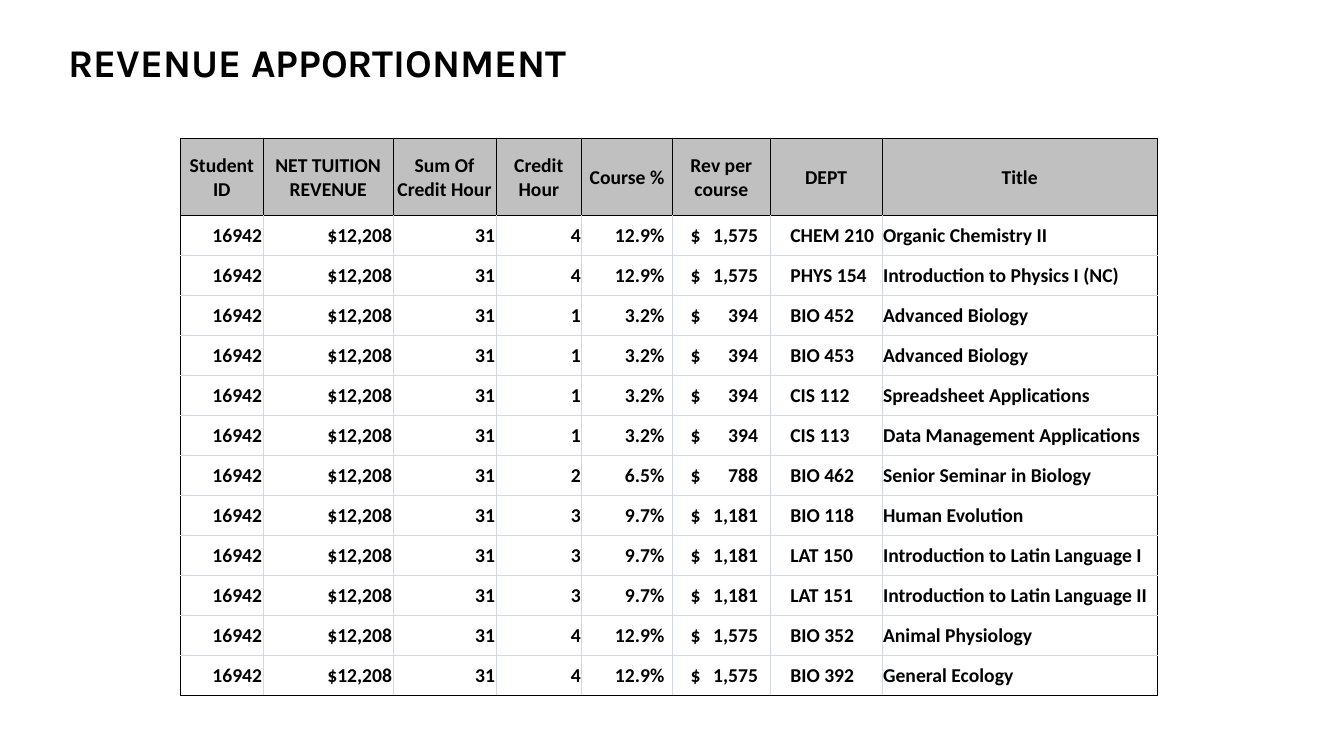
from lxml import etree
from pptx import Presentation
from pptx.dml.color import RGBColor
from pptx.enum.text import MSO_ANCHOR, PP_ALIGN
from pptx.oxml.ns import qn
from pptx.util import Inches, Pt

LEFT, CENTER, RIGHT = PP_ALIGN.LEFT, PP_ALIGN.CENTER, PP_ALIGN.RIGHT
MIDDLE = MSO_ANCHOR.MIDDLE
BLACK = RGBColor(0x00, 0x00, 0x00)
HEADER_GRAY = RGBColor(0xC0, 0xC0, 0xC0)
GRID_BLUE = RGBColor(0xD0, 0xD7, 0xE5)

# Heading, width, body alignment, left inset, right inset
COLUMNS = [
    ("Student ID", 0.82, RIGHT, 0.01, 0.01),
    ("NET TUITION REVENUE", 1.29, RIGHT, 0.01, 0.01),
    ("Sum Of Credit Hour", 1.02, RIGHT, 0.01, 0.01),
    ("Credit Hour", 0.85, RIGHT, 0.01, 0.01),
    ("Course %", 0.9, RIGHT, 0.01, 0.08),
    ("Rev per course", 0.97, LEFT, 0.18, 0.08),
    ("DEPT", 1.11, LEFT, 0.2, 0.01),
    ("Title", 2.73, LEFT, 0.01, 0.01),
]
REVENUE_COLUMN = 5
REVENUE_TAB = Inches(0.67)

# Course share and revenue follow from the credit hours
SHARES = {1: ("3.2%", "394"), 2: ("6.5%", "788"),
          3: ("9.7%", "1,181"), 4: ("12.9%", "1,575")}
COURSES = [
    (4, "CHEM 210", "Organic Chemistry II"),
    (4, "PHYS 154", "Introduction to Physics I (NC)"),
    (1, "BIO 452", "Advanced Biology"),
    (1, "BIO 453", "Advanced Biology"),
    (1, "CIS 112", "Spreadsheet Applications"),
    (1, "CIS 113", "Data Management Applications"),
    (2, "BIO 462", "Senior Seminar in Biology"),
    (3, "BIO 118", "Human Evolution"),
    (3, "LAT 150", "Introduction to Latin Language I"),
    (3, "LAT 151", "Introduction to Latin Language II"),
    (4, "BIO 352", "Animal Physiology"),
    (4, "BIO 392", "General Ecology"),
]


def format_font(font, name, size):
    values = {"name": name, "size": Pt(size), "bold": True}
    for attribute, value in values.items():
        setattr(font, attribute, value)
    font.color.rgb = BLACK


def add_border(cell, side, color, width):
    properties = cell._tc.get_or_add_tcPr()
    line = etree.SubElement(properties, qn(f"a:ln{side}"), w=str(Pt(width)))
    fill = etree.SubElement(line, qn("a:solidFill"))
    etree.SubElement(fill, qn("a:srgbClr"), val=str(color))


presentation = Presentation()
presentation.slide_width = Inches(13.33)
presentation.slide_height = Inches(7.5)
slide = presentation.slides.add_slide(presentation.slide_layouts[6])

# Title
title = slide.shapes.add_textbox(Inches(0.58), Inches(0.33), Inches(6.25), Inches(1.92))
title.text_frame.word_wrap = True
paragraph = title.text_frame.paragraphs[0]
paragraph.text = "REVENUE APPORTIONMENT"
format_font(paragraph.runs[0].font, "Karla", 28)

# Table grid
rows = [[column[0] for column in COLUMNS]]
for hours, department, course in COURSES:
    share, revenue = SHARES[hours]
    rows.append(["16942", "$12,208", "31", str(hours), share,
                 f"$\t{revenue}", department, course])
last_row, last_column = len(rows) - 1, len(COLUMNS) - 1

table_height, header_height = Inches(5.53), Inches(0.77)
table = slide.shapes.add_table(len(rows), len(COLUMNS), Inches(1.79), Inches(1.37),
                               Inches(9.7), table_height).table
table.first_row = False
table.horz_banding = False
for column, (_, width, *_) in zip(table.columns, COLUMNS):
    column.width = Inches(width)
for row in table.rows:
    row.height = (table_height - header_height) // last_row
table.rows[0].height = header_height

# Table cells
for row_index, texts in enumerate(rows):
    is_header = row_index == 0
    for column_index, text in enumerate(texts):
        _, _, alignment, left_inset, right_inset = COLUMNS[column_index]
        if is_header:
            alignment, left_inset, right_inset = CENTER, 0.01, 0.01
        cell = table.cell(row_index, column_index)
        layout = {"margin_left": Inches(left_inset), "margin_top": Inches(0.01),
                  "margin_right": Inches(right_inset), "margin_bottom": 0,
                  "vertical_anchor": MIDDLE}
        for attribute, value in layout.items():
            setattr(cell, attribute, value)

        paragraph = cell.text_frame.paragraphs[0]
        paragraph.text = text
        paragraph.alignment = alignment
        format_font(paragraph.runs[0].font, "Calibri", 14)
        if column_index == REVENUE_COLUMN and not is_header:
            tabs = etree.SubElement(paragraph._p.get_or_add_pPr(), qn("a:tabLst"))
            etree.SubElement(tabs, qn("a:tab"), pos=str(REVENUE_TAB), algn="r")

        # Black frame around the header and the table, pale grid inside
        inner = (BLACK if is_header else GRID_BLUE, 0.5)
        frame = (BLACK, 1)
        add_border(cell, "L", *(frame if column_index == 0 else inner))
        add_border(cell, "R", *(frame if column_index == last_column else inner))
        add_border(cell, "T", *(frame if row_index <= 1 else inner))
        add_border(cell, "B", *(frame if row_index in (0, last_row) else inner))
        if is_header:
            cell.fill.solid()
            cell.fill.fore_color.rgb = HEADER_GRAY
        else:
            cell.fill.background()

presentation.save("out.pptx")
